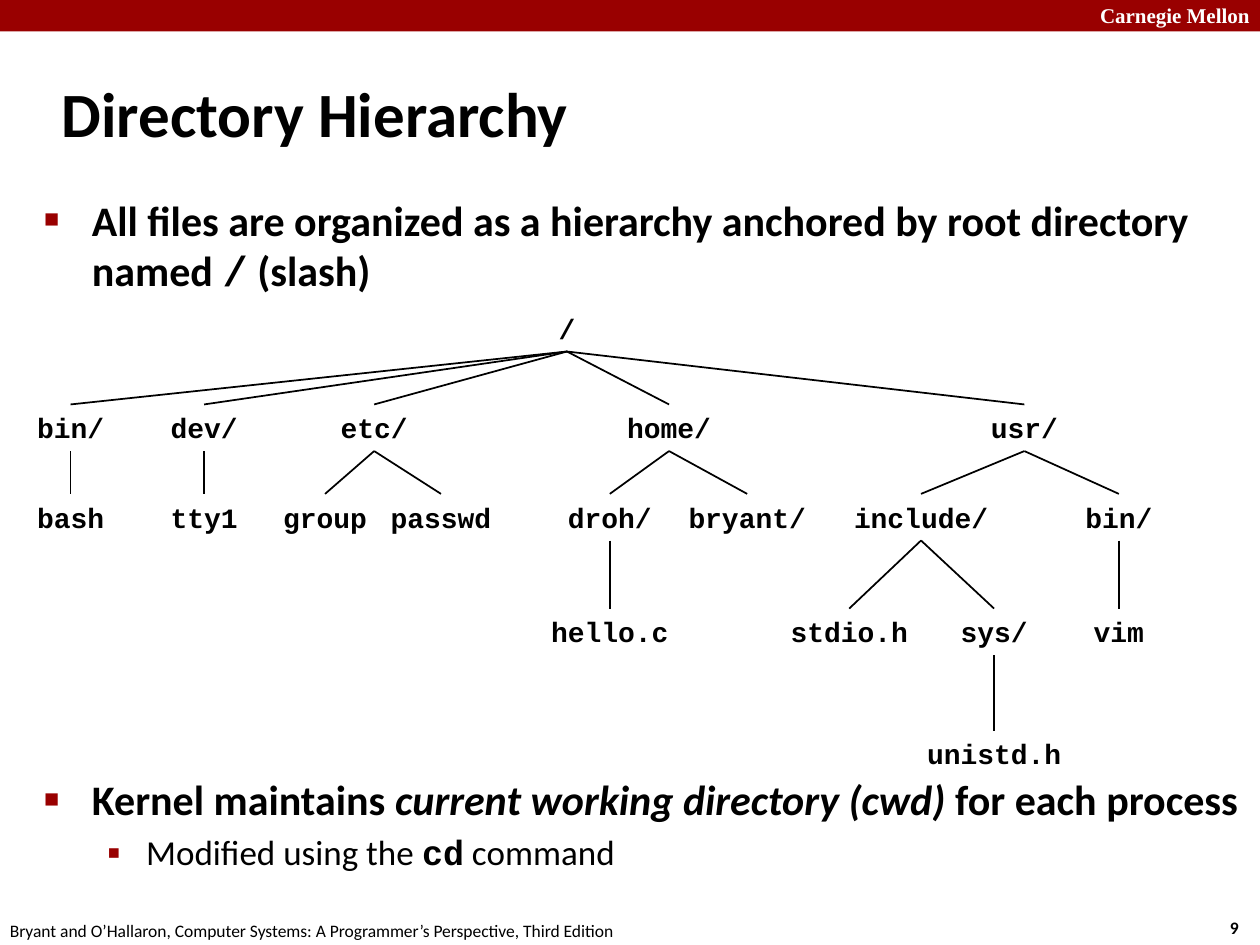
import pptx
import pptx.dml.color
import pptx.enum.shapes
import pptx.enum.text
import pptx.oxml
import pptx.oxml.ns
import pptx.util
from pptx.util import Inches

ALIGN = pptx.enum.text.PP_ALIGN
ANCHOR = pptx.enum.text.MSO_ANCHOR
RED, BLACK, WHITE = "990000", "000000", "FFFFFF"
SANS, MONO, SERIF = "Calibri", "Courier New", "Times New Roman"


def color(value):
    return pptx.dml.color.RGBColor.from_string(value)


def append_xml(parent, tag, attributes="", content=""):
    namespace = pptx.oxml.ns.nsdecls("a")
    parent.append(pptx.oxml.parse_xml(f"<a:{tag} {namespace} {attributes}>{content}</a:{tag}>"))


class SlideBuilder:
    node_height = 0.37
    node_size = 16
    character_width = 2 / 15  # inches, monospaced at node_size
    node_padding = 0.2

    def __init__(self, slide):
        self.slide = slide

    def format_run(self, run, size, font=SANS, fill=BLACK, bold=False, italic=False):
        run.font.size = pptx.util.Pt(size)
        run.font.name = font
        run.font.color.rgb = color(fill)
        run.font.bold = bold
        run.font.italic = italic

    def place(self, shape, left, top, width, height):
        shape.left, shape.top = Inches(left), Inches(top)
        shape.width, shape.height = Inches(width), Inches(height)

    def bar(self, left, top, width, height, fill):
        shape = self.slide.shapes.add_shape(
            pptx.enum.shapes.MSO_SHAPE.RECTANGLE,
            Inches(left), Inches(top), Inches(width), Inches(height))
        shape.shadow.inherit = False
        shape.fill.solid()
        shape.fill.fore_color.rgb = color(fill)
        shape.line.fill.background()

    def label(self, text, left, top, width, height, size, align=ALIGN.LEFT, **style):
        box = self.slide.shapes.add_textbox(
            Inches(left), Inches(top), Inches(width), Inches(height))
        box.text_frame.text = text
        box.text_frame.word_wrap = False
        paragraph = box.text_frame.paragraphs[0]
        paragraph.alignment = align
        self.format_run(paragraph.runs[0], size, **style)
        return box

    def title(self, text, left, top, width, height):
        shape = self.slide.shapes.title
        self.place(shape, left, top, width, height)
        frame = shape.text_frame
        frame.text = text
        frame.vertical_anchor = ANCHOR.MIDDLE
        frame.paragraphs[0].alignment = ALIGN.LEFT
        self.format_run(frame.paragraphs[0].runs[0], 36, bold=True)

    def body(self, items, left, top, width, height):
        """Each item is (level, space before, [(text, run style), ...])."""
        shape = self.slide.placeholders[1]
        self.place(shape, left, top, width, height)
        frame = shape.text_frame
        frame.auto_size = pptx.enum.text.MSO_AUTO_SIZE.NONE
        for index, (level, space_before, pieces) in enumerate(items):
            paragraph = frame.add_paragraph() if index else frame.paragraphs[0]
            paragraph.level = level
            self.bullet(paragraph, level)
            paragraph.space_before = pptx.util.Pt(space_before)
            for text, style in pieces:
                run = paragraph.add_run()
                run.text = text
                self.format_run(run, (24, 20)[level], **style)

    def bullet(self, paragraph, level):
        margin, hanging, percent, character = ((0.38, 0.38, 60, "■"), (0.81, 0.31, 110, "▪"))[level]
        properties = paragraph._p.get_or_add_pPr()
        properties.set("marL", str(Inches(margin)))
        properties.set("indent", str(-Inches(hanging)))
        append_xml(properties, "buClr", content=f'<a:srgbClr val="{RED}"/>')
        append_xml(properties, "buSzPct", f'val="{percent * 1000}"')
        append_xml(properties, "buFont", 'typeface="Arial"')
        append_xml(properties, "buChar", f'char="{character}"')

    def node(self, name, center, top):
        width = self.node_padding + self.character_width * len(name)
        return self.label(name, center - width / 2, top, width, self.node_height,
                          self.node_size, ALIGN.CENTER, font=MONO, bold=True)

    def branch(self, parent, child):
        connector = self.slide.shapes.add_connector(
            pptx.enum.shapes.MSO_CONNECTOR.STRAIGHT, 0, 0, 0, 0)
        connector.begin_connect(parent, 2)
        connector.end_connect(child, 0)
        connector.line.color.rgb = color(BLACK)
        connector.line.width = pptx.util.Pt(1)
        append_xml(connector._element.spPr, "effectLst")

    def tree(self, entry, tops, level=0):
        """Draw an entry (name, center, *children) and all below it."""
        name, center, *children = entry
        parent = self.node(name, center, tops[level])
        for child in children:
            self.branch(parent, self.tree(child, tops, level + 1))
        return parent


LEVEL_TOPS = (2.42, 3.21, 3.92, 4.83, 5.8)
DIRECTORY_TREE = (
    "/", 4.5,
    ("bin/", 0.56, ("bash", 0.56)),
    ("dev/", 1.62, ("tty1", 1.62)),
    ("etc/", 2.97, ("group", 2.58), ("passwd", 3.5)),
    ("home/", 5.31,
     ("droh/", 4.84, ("hello.c", 4.84)),
     ("bryant/", 5.93)),
    ("usr/", 8.13,
     ("include/", 7.31,
      ("stdio.h", 6.74),
      ("sys/", 7.89, ("unistd.h", 7.89))),
     ("bin/", 8.88, ("vim", 8.88))),
)
TREE_GAP = 273.5  # points left between the bullets for the tree
BOLD = {"bold": True}
BULLETS = [
    (0, 0, [("All files are organized as a hierarchy anchored by root directory named ", BOLD),
            ("/", {"font": MONO, "bold": True}),
            (" (slash)", BOLD)]),
    (0, TREE_GAP, [("Kernel maintains ", BOLD),
                   ("current working directory (cwd) ", {"bold": True, "italic": True}),
                   ("for each process", BOLD)]),
    (1, 4, [("Modified using the ", {}),
            ("cd", {"font": MONO, "bold": True}),
            (" command", {})]),
]


def main():
    presentation = pptx.Presentation()
    presentation.slide_width, presentation.slide_height = Inches(10), Inches(7.5)
    builder = SlideBuilder(presentation.slides.add_slide(presentation.slide_layouts[1]))

    builder.bar(0, 0, 10, 0.25, RED)
    header = builder.label("Carnegie Mellon", 8.4, -0.03, 1.6, 0.3, 12, ALIGN.RIGHT,
                           font=SERIF, fill=WHITE, bold=True)
    header.text_frame.margin_right = Inches(0.08)
    builder.label("9", 9.66, 7.23, 0.27, 0.27, 10, ALIGN.RIGHT, bold=True)
    builder.label("Bryant and O’Hallaron, Computer Systems: A Programmer’s Perspective, Third Edition",
                  -0.02, 7.25, 5.08, 0.27, 10)
    builder.title("Directory Hierarchy", 0.39, 0.48, 8.3, 0.83)
    builder.body(BULLETS, 0.25, 1.49, 9.73, 5.76)
    builder.tree(DIRECTORY_TREE, LEVEL_TOPS)
    presentation.save("out.pptx")


if __name__ == "__main__":
    main()
